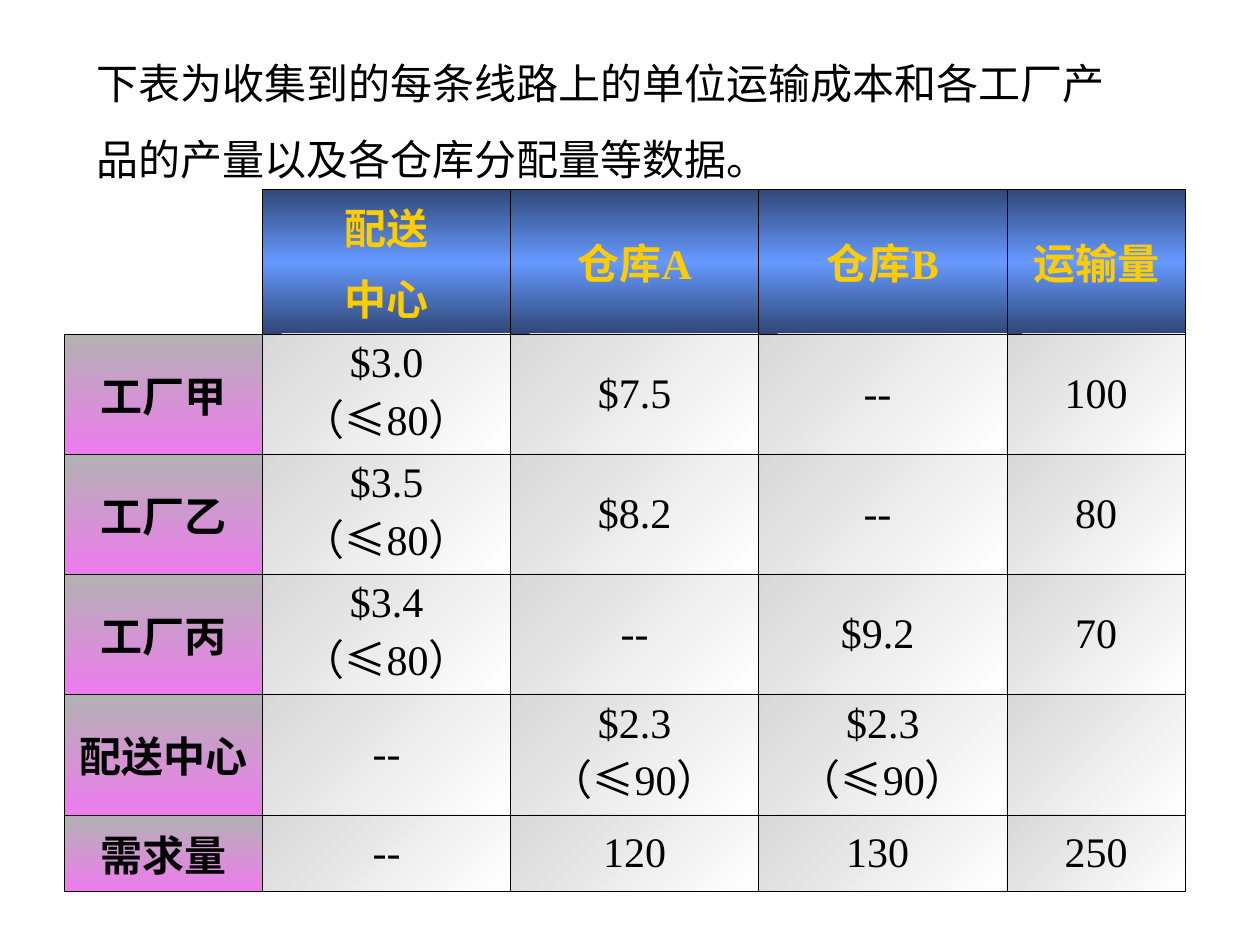
from lxml import etree
from pptx import Presentation, util as u
from pptx.dml.color import RGBColor
from pptx.enum import text
from pptx.oxml.ns import qn

INTRO = "下表为收集到的每条线路上的单位运输成本和各工厂产品的产量以及各仓库分配量等数据。"
ROWS = [
    ["", "配送\n中心", "仓库A", "仓库B", "运输量"],
    ["工厂甲", "$3.0（≤80）", "$7.5", "-- ", "100"],
    ["工厂乙", "$3.5（≤80）", "$8.2", "-- ", "80"],
    ["工厂丙", "$3.4（≤80）", "--", "$9.2 ", "70"],
    ["配送中心", "--", "$2.3（≤90）", "$2.3（≤90）", ""],
    ["需求量", "--", "120", "130 ", "250"],
]
WIDTHS = [113.4, 141.6, 141.8, 141.8, 102]
HEIGHTS = [74.9, 64.8, 64.8, 64.8, 69.1, 43.9]
LEFT, TOP = 36.8, 108

HEAD = dict(font=dict(name="Times New Roman", bold=True), ink="FFCC00",
            stops=[(0, "2F4776"), (50, "6699FF"), (100, "2F4776")], angle=90)
SIDE = dict(font=dict(name="Arial", bold=True), ink="000000",
            stops=[(0, "B2B2B2"), (100, "EE7CEE")], angle=90)
BODY = dict(font=dict(name="Times New Roman", bold=False), ink="000000",
            stops=[(0, "D8D8D8"), (100, "FFFFFF")], angle=45)
BLANK = dict(BODY, stops=[])


def pick(row, col):
    """Return the look of the cell at this row and column."""
    if row == 0:
        return HEAD if col else BLANK
    return BODY if col else SIDE


def style(para, look):
    for key, val in dict(look["font"], size=u.Pt(24)).items():
        setattr(para.font, key, val)
    para.font.color.rgb = RGBColor.from_string(look["ink"])


def add(parent, tag, **attrs):
    return etree.SubElement(parent, qn(tag), {k: str(v) for k, v in attrs.items()})


def tint(parent, color):
    add(add(parent, "a:solidFill"), "a:srgbClr", val=color)


def dress(cell, look):
    """Give the cell its borders and gradient; a blank one has only right and bottom lines."""
    props = cell._tc.get_or_add_tcPr()
    for side in "LRTB":
        line = add(props, "a:ln" + side, w=u.Pt(0.45))
        if look["stops"] or side in "RB":
            tint(line, "000000")
        else:
            add(line, "a:noFill")
    if not look["stops"]:
        add(props, "a:noFill")
        return
    grad = add(props, "a:gradFill", rotWithShape=1)
    stops = add(grad, "a:gsLst")
    for pos, color in look["stops"]:
        add(add(stops, "a:gs", pos=pos * 1000), "a:srgbClr", val=color)
    add(grad, "a:lin", ang=look["angle"] * 60000, scaled=0)


def main():
    deck = Presentation()
    deck.slide_width, deck.slide_height = u.Pt(720), u.Pt(540)
    slide = deck.slides.add_slide(deck.slide_layouts[6])

    size = [u.Pt(v) for v in (LEFT, TOP, sum(WIDTHS), sum(HEIGHTS))]
    table = slide.shapes.add_table(len(ROWS), len(WIDTHS), *size).table
    table.first_row = table.horz_banding = False
    for col, width in zip(table.columns, WIDTHS):
        col.width = u.Pt(width)
    for r, (row, height) in enumerate(zip(ROWS, HEIGHTS)):
        table.rows[r].height = u.Pt(height)
        for c, words in enumerate(row):
            cell, look = table.cell(r, c), pick(r, c)
            cell.text = words
            cell.vertical_anchor = text.MSO_ANCHOR.MIDDLE
            for i, para in enumerate(cell.text_frame.paragraphs):
                para.alignment = text.PP_ALIGN.CENTER
                if i:
                    para.space_before = u.Pt(6)
                style(para, look)
            dress(cell, look)

    box = slide.shapes.add_textbox(*[u.Pt(v) for v in (48.2, 15.1, 612.7, 122.4)])
    frame = box.text_frame
    frame.word_wrap = True
    frame.auto_size = text.MSO_AUTO_SIZE.SHAPE_TO_FIT_TEXT
    frame.text = INTRO
    frame.paragraphs[0].line_spacing = 1.5
    style(frame.paragraphs[0], BODY)

    deck.save("out.pptx")


if __name__ == "__main__":
    main()
